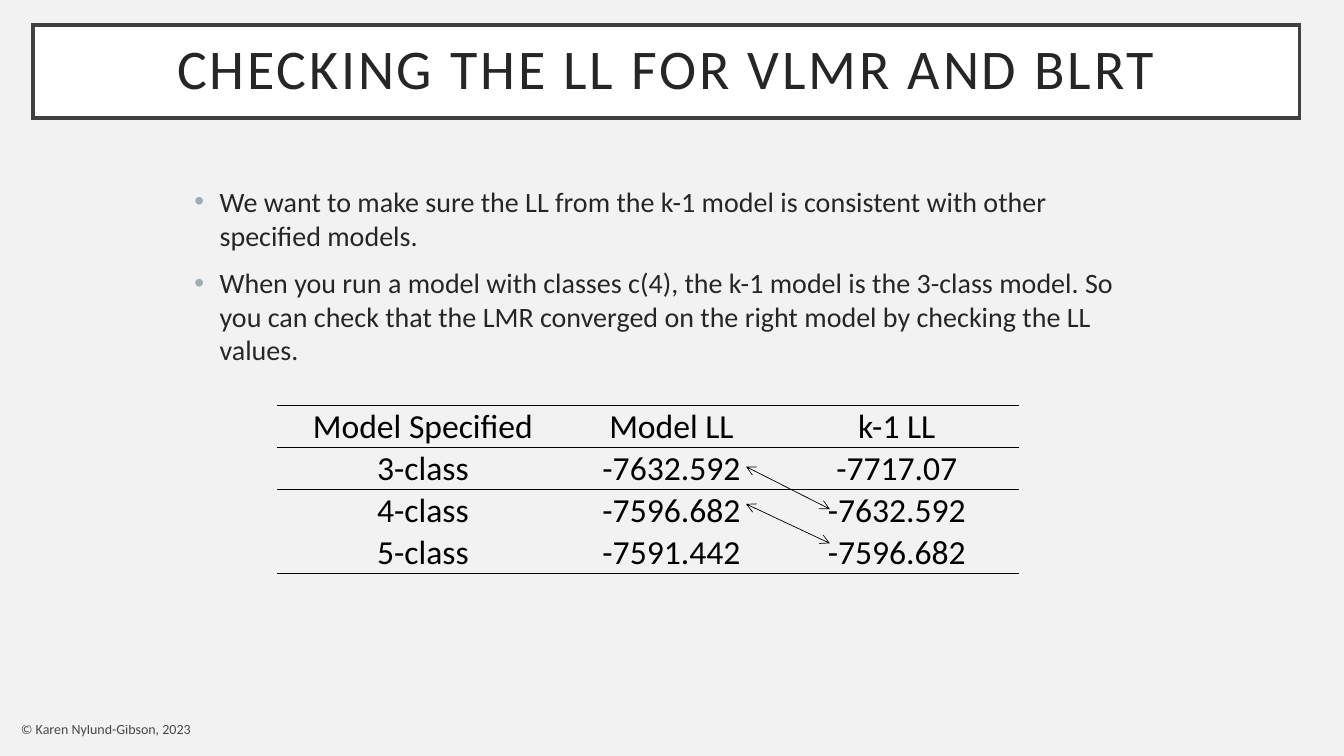
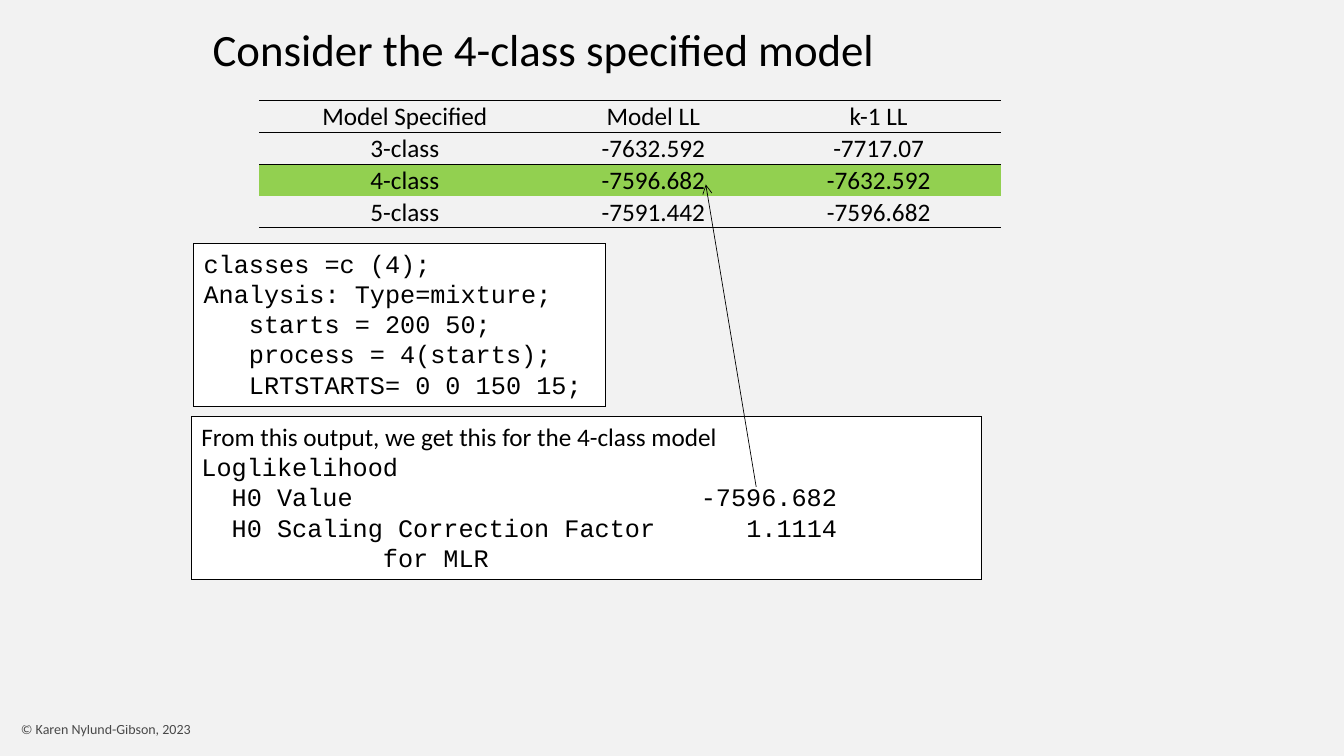
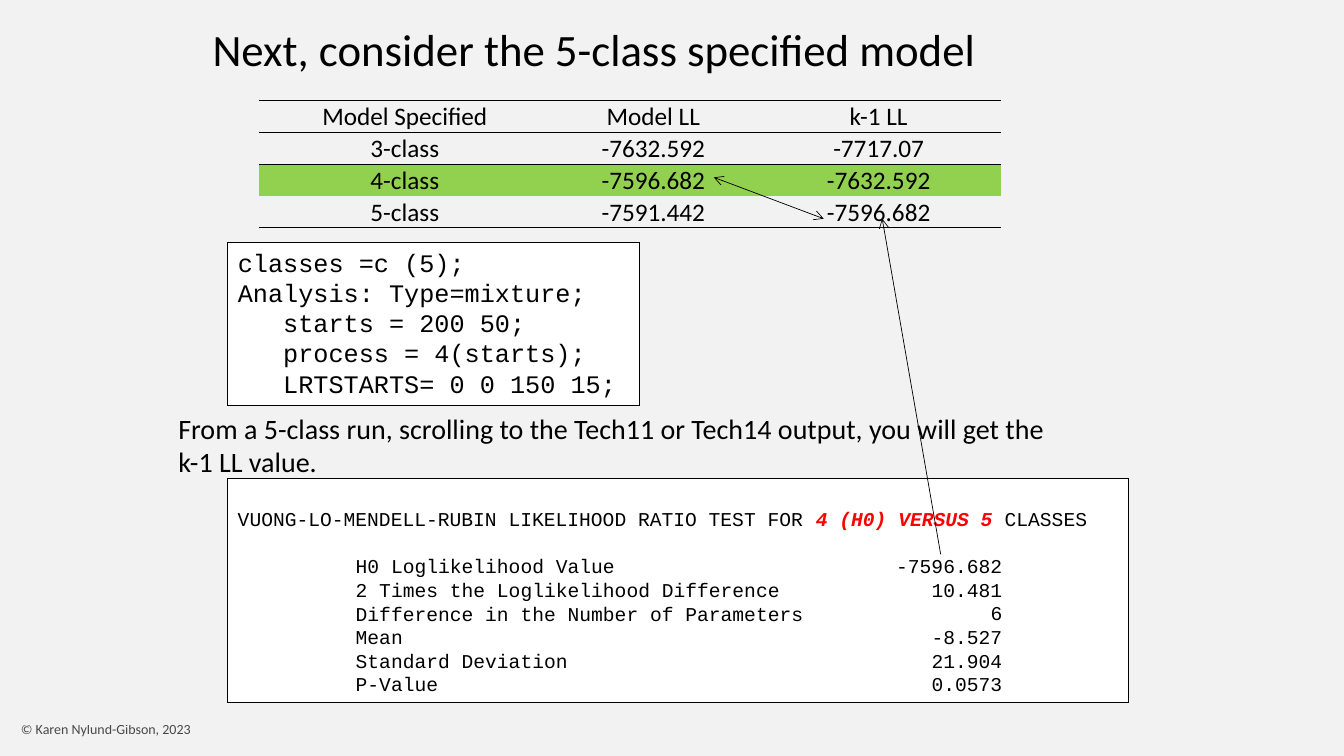
from lxml.etree import SubElement
from pptx import Presentation
from pptx.dml.color import RGBColor
from pptx.enum.shapes import MSO_CONNECTOR, MSO_SHAPE
from pptx.enum.text import MSO_ANCHOR, PP_ALIGN
from pptx.oxml.ns import qn
from pptx.util import Emu, Pt

RECT = MSO_SHAPE.RECTANGLE
LINE = MSO_CONNECTOR.STRAIGHT
TOP, MID, LOW = MSO_ANCHOR.TOP, MSO_ANCHOR.MIDDLE, MSO_ANCHOR.BOTTOM
LEFT, MIDST, RIGHT = PP_ALIGN.LEFT, PP_ALIGN.CENTER, PP_ALIGN.RIGHT

SCALE = 9144
SANS, MONO = "Calibri", "Courier New"
BLACK, WHITE, RED, GREEN = "000000", "FFFFFF", "FF0000", "92D050"
PAPER, INK, FRAME, DOT = "F2F2F2", "262626", "404040", "9BAFB5"

ROWS = (
    ("Model Specified", "Model LL", "k-1 LL"),
    ("3-class", "-7632.592", "-7717.07"),
    ("4-class", "-7596.682", "-7632.592"),
    ("5-class", "-7591.442", "-7596.682"),
)
COLS = (289, 204, 243)
RULES = (0, 1, 2, 4)


def px(size):
    return Emu(size * SCALE)


def rgb(code):
    return RGBColor.from_string(code)


def node(parent, tag, **attrs):
    return SubElement(parent, qn("a:" + tag), **attrs)


def write(frame, text, size=18, font=SANS, color=BLACK, align=LEFT, bold=False,
          slant=False, before=0, left=0, bullet=False, join=False,
          pitch=None, track=None, alpha=None):
    for row in text.split("\n"):
        para = frame.paragraphs[-1]
        if para.runs and not join:
            para = frame.add_paragraph()
        if not join:
            para.alignment = align
            para.space_before = Pt(before)
            para.line_spacing = pitch
            props = para._p.get_or_add_pPr()
            props.set("marL", str(px(left)))
            props.set("indent", str(px(-left if bullet else 0)))
            if bullet:
                node(node(props, "buClr"), "srgbClr", val=DOT)
                node(props, "buFont", typeface="Arial")
                node(props, "buChar", char="•")
        run = para.add_run()
        run.text = row
        face = run.font
        face.size, face.name = Pt(size), font
        face.bold, face.italic = bold, slant
        face.color.rgb = rgb(color)
        props = run._r.get_or_add_rPr()
        if track:
            props.set("spc", str(track * 100))
        if alpha:
            node(props.find(".//" + qn("a:srgbClr")), "alpha", val=str(alpha * 1000))


class Deck:
    """Holds the shared style and the current slide."""

    def __init__(self):
        self.show = Presentation()
        self.show.slide_width, self.show.slide_height = px(1333), px(750)

    def start(self, head=None):
        self.slide = self.show.slides.add_slide(self.show.slide_layouts[6])
        fill = self.slide.background.fill
        fill.solid()
        fill.fore_color.rgb = rgb(PAPER)
        foot = self.text(11, 706, 664, 35, anchor=MID)
        write(foot, "© Karen Nylund-Gibson, 2023", size=10, alpha=70)
        if head:
            write(self.text(201, 17, 940, 64), head, size=32)

    def text(self, x, y, w, h, anchor=TOP):
        frame = self.slide.shapes.add_textbox(px(x), px(y), px(w), px(h)).text_frame
        frame.word_wrap = True
        frame.vertical_anchor = anchor
        return frame

    def box(self, x, y, w, h, line=BLACK, width=0.5, anchor=TOP):
        shape = self.slide.shapes.add_shape(RECT, px(x), px(y), px(w), px(h))
        shape.shadow.inherit = False
        shape.fill.solid()
        shape.fill.fore_color.rgb = rgb(WHITE)
        shape.line.color.rgb = rgb(line)
        shape.line.width = Pt(width)
        node(shape.line._get_or_add_ln(), "miter", lim="800000")
        frame = shape.text_frame
        frame.word_wrap = True
        frame.vertical_anchor = anchor
        return frame

    def code(self, x, y, count):
        frame = self.box(x, y, 408, 162)
        write(frame, f"classes =c ({count});\nAnalysis: Type=mixture;", font=MONO)
        write(frame, "starts = 200 50;\nprocess = 4(starts);\nLRTSTARTS= 0 0 150 15;",
              font=MONO, left=45)

    def facts(self, frame, pairs, x, y, h, size, left, before=0):
        names, values = zip(*pairs)
        column = self.text(x, y, 200, h)
        for i, (name, value) in enumerate(zip(names, values)):
            write(frame, name, size=size, font=MONO, left=left,
                  before=0 if i else before)
            write(column, value, size=size, font=MONO, align=RIGHT)

    def arrow(self, x, y, to_x, to_y, both=False):
        link = self.slide.shapes.add_connector(LINE, px(x), px(y), px(to_x), px(to_y))
        link.line.color.rgb = rgb(BLACK)
        link.line.width = Pt(0.5)
        stroke = link.line._get_or_add_ln()
        if both:
            node(stroke, "headEnd", type="arrow")
        node(stroke, "tailEnd", type="arrow")
        node(link._element.spPr, "effectLst")

    def edge(self, cell, tag, shown):
        line = node(cell._tc.get_or_add_tcPr(), tag, w=str(Pt(1)))
        if shown:
            node(node(line, "solidFill"), "srgbClr", val=BLACK)
        else:
            node(line, "noFill")

    def table(self, x, y, h, size, mark=None):
        grid = self.slide.shapes.add_table(
            len(ROWS), len(COLS), px(x), px(y), px(sum(COLS)), px(h)).table
        grid.first_row = grid.horz_banding = False
        for col, width in zip(grid.columns, COLS):
            col.width = px(width)
        for r, row in enumerate(ROWS):
            grid.rows[r].height = Emu(px(h) // len(ROWS))
            for c, value in enumerate(row):
                cell = grid.cell(r, c)
                cell.margin_left = cell.margin_right = cell.margin_top = px(1)
                cell.margin_bottom = 0
                cell.vertical_anchor = LOW
                for tag, shown in (("lnL", False), ("lnR", False),
                                   ("lnT", r in RULES), ("lnB", r + 1 in RULES)):
                    self.edge(cell, tag, shown)
                if r == mark:
                    cell.fill.solid()
                    cell.fill.fore_color.rgb = rgb(GREEN)
                else:
                    cell.fill.background()
                write(cell.text_frame, value, size=size, align=MIDST)


def check(deck):
    deck.start()
    head = deck.box(33, 25, 1256, 92, line=FRAME, width=2.5, anchor=MID)
    head.margin_left = head.margin_right = head.margin_top = head.margin_bottom = px(20)
    write(head, "CHECKING THE LL FOR VLMR AND BLRT", size=40, color=INK,
          align=MIDST, pitch=0.9, track=2)
    body = deck.text(183, 178, 967, 495)
    points = (
        "We want to make sure the LL from the k-1 model is consistent with other "
        "specified models.",
        "When you run a model with classes c(4), the k-1 model is the 3-class model. "
        "So you can check that the LMR converged on the right model by checking the "
        "LL values.",
    )
    for point, gap in zip(points, (0, 10)):
        write(body, point, size=20, color=INK, left=25, bullet=True, before=gap)
    deck.table(275, 402, 167, 24)
    deck.arrow(740, 463, 823, 505, both=True)
    deck.arrow(740, 500, 823, 539, both=True)


def four(deck):
    deck.start("Consider the 4-class specified model")
    deck.table(257, 100, 126, 18, mark=2)
    deck.code(192, 241, 4)
    out = deck.box(190, 413, 783, 162)
    write(out, "From this output, we get this for the 4-class model")
    write(out, "Loglikelihood", font=MONO)
    pairs = (
        ("H0 Value", "-7596.682"),
        ("H0 Scaling Correction Factor", "1.1114"),
    )
    deck.facts(out, pairs, 640, 473, 70, size=18, left=30)
    write(out, "for MLR", font=MONO, left=180)
    deck.arrow(750, 483, 700, 183)


def five(deck):
    deck.start("Next, consider the 5-class specified model")
    deck.table(257, 100, 126, 18, mark=2)
    deck.code(226, 240, 5)
    out = deck.box(226, 475, 893, 222)
    out.margin_top = px(28)
    write(out, "VUONG-LO-MENDELL-RUBIN LIKELIHOOD RATIO TEST FOR ", size=14, font=MONO)
    write(out, "4 (H0) VERSUS 5 ", size=14, font=MONO, color=RED, bold=True,
          slant=True, join=True)
    write(out, "CLASSES", size=14, font=MONO, join=True)
    pairs = (
        ("H0 Loglikelihood Value", "-7596.682"),
        ("2 Times the Loglikelihood Difference", "10.481"),
        ("Difference in the Number of Parameters", "6"),
        ("Mean", "-8.527"),
        ("Standard Deviation", "21.904"),
        ("P-Value", "0.0573"),
    )
    deck.facts(out, pairs, 804, 545, 150, size=14, left=117, before=17)
    deck.arrow(933, 550, 875, 217)
    deck.arrow(708, 176, 817, 217, both=True)
    note = deck.text(167, 403, 893, 77)
    write(note, "From a 5-class run, scrolling to the Tech11 or Tech14 output, "
                "you will get the k-1 LL value.", size=20)


def main():
    deck = Deck()
    for build in (check, four, five):
        build(deck)
    deck.show.save("out.pptx")


if __name__ == "__main__":
    main()
